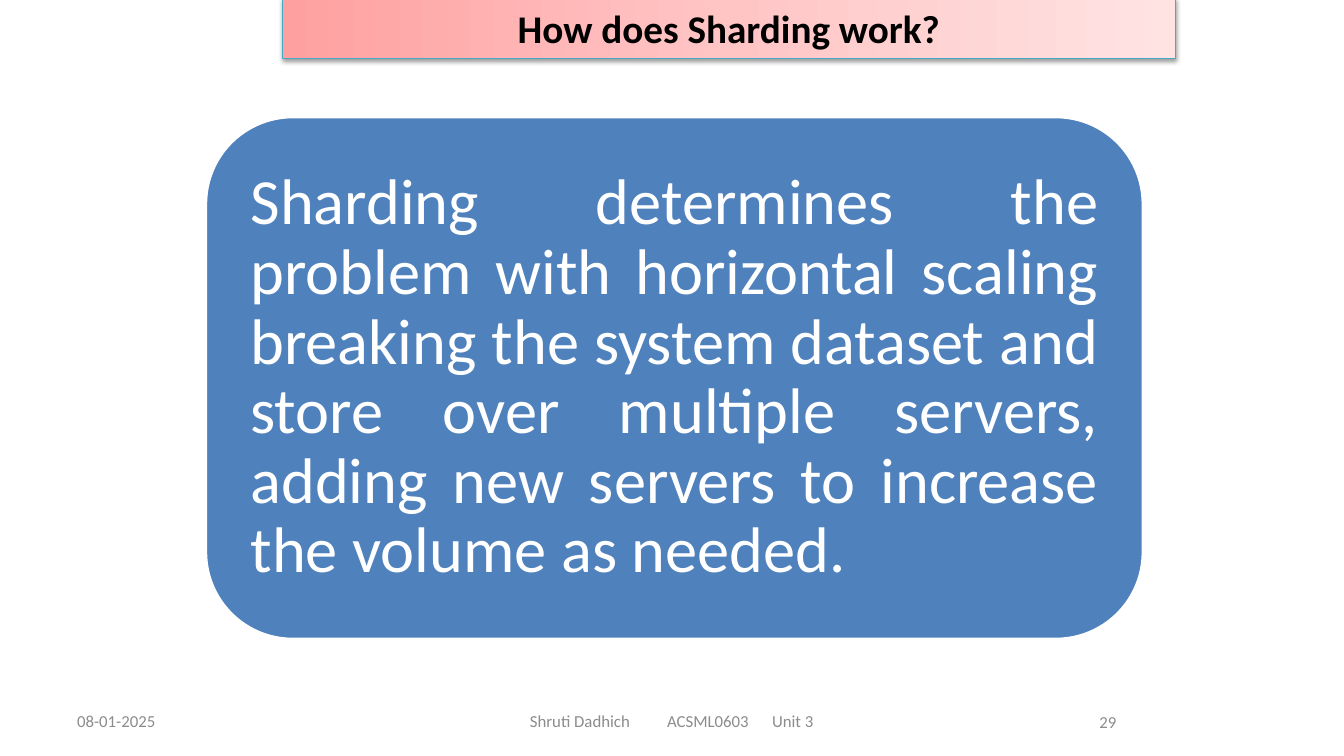
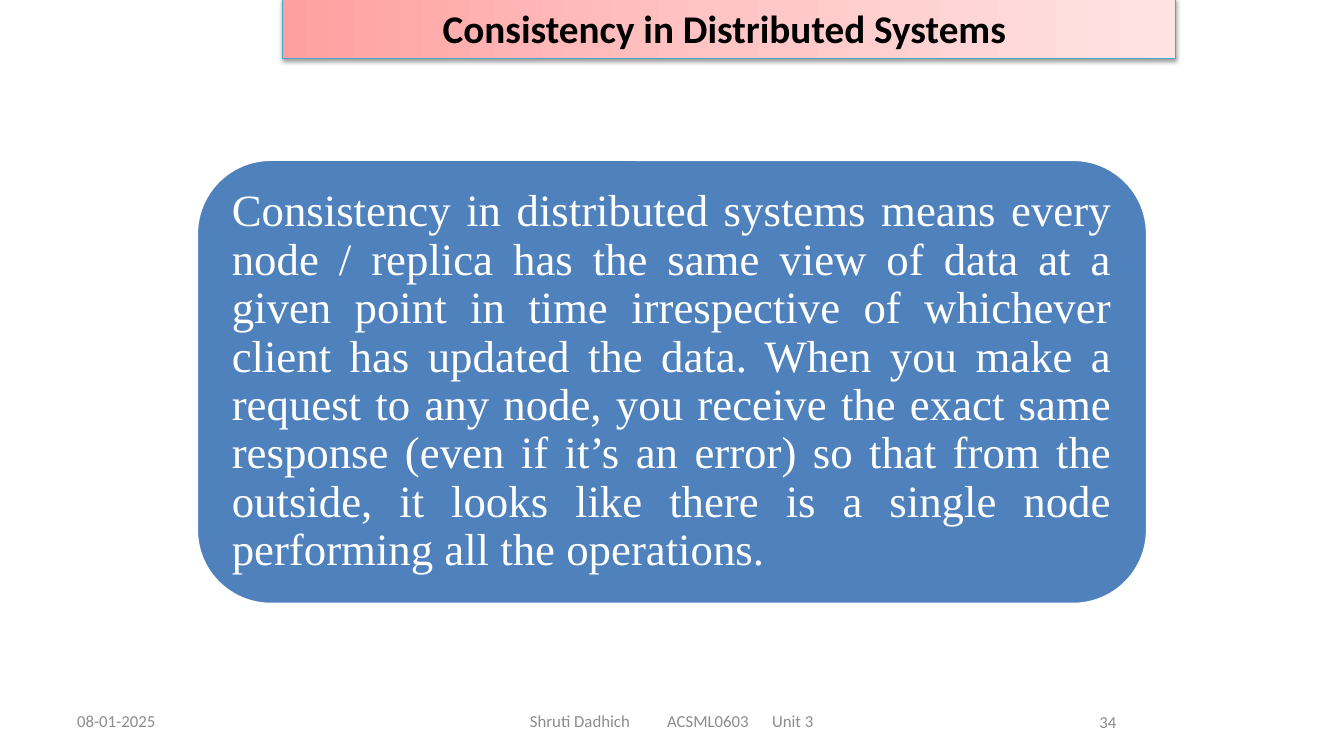
"""Build two slides on sharding and consistency, each with one text panel."""
from pptx import Presentation
from pptx.dml.color import RGBColor
from pptx.enum.shapes import MSO_SHAPE
from pptx.enum.text import MSO_ANCHOR, MSO_AUTO_SIZE, PP_ALIGN
from pptx.oxml import parse_xml
from pptx.oxml.ns import nsdecls
from pptx.util import Pt

COLORS = {
    "band_start": "FFA0A0",
    "band_middle": "FFC5C5",
    "band_end": "FFE3E3",
    "band_line": "46AAC5",
    "title": "000000",
    "footer": "8C8C8C",
    "panel": "4F81BD",
    "white": "FFFFFF",
}
TITLE_FORMAT = {"name": "Calibri", "size": Pt(28), "bold": True}
FOOTER_FORMAT = {"name": "Calibri", "size": Pt(12)}
FOOTER_TABS = [98, 173]
GRADIENT_STOPS = [(0, "band_start"), (50, "band_middle"), (100, "band_end")]
SLIDES = [
    {
        "title": "How does Sharding work?",
        "number": "29",
        "panel": (147, 83.5, 669.5, 373),
        "font": "Calibri",
        "size": 46,
        "text": "Sharding determines the problem with horizontal scaling breaking "
                "the system dataset and store over multiple servers, adding new "
                "servers to increase the volume as needed.",
    },
    {
        "title": "Consistency in Distributed Systems ",
        "number": "34",
        "panel": (140.5, 114, 679, 317.5),
        "font": "Times New Roman",
        "size": 32,
        "text": "Consistency in distributed systems means every node / replica has "
                "the same view of data at a given point in time irrespective of "
                "whichever client has updated the data. When you make a request to "
                "any node, you receive the exact same response (even if it’s an "
                "error) so that from the outside, it looks like there is a single "
                "node performing all the operations.",
    },
]


def write_text(shape, text, alignment, color, font_format):
    """Write one formatted paragraph, centred vertically, and return it."""
    frame = shape.text_frame
    frame.word_wrap = True
    frame.auto_size = MSO_AUTO_SIZE.NONE
    frame.vertical_anchor = MSO_ANCHOR.MIDDLE
    paragraph = frame.paragraphs[0]
    paragraph.alignment = alignment
    run = paragraph.add_run()
    run.text = text
    for attribute, value in font_format.items():
        setattr(run.font, attribute, value)
    run.font.color.rgb = RGBColor.from_string(COLORS[color])
    return paragraph


def style_band(shape):
    """Give the title its gradient, outline and soft shadow."""
    stops = "".join(
        f'<a:gs pos="{position * 1000}"><a:srgbClr val="{COLORS[color]}"/></a:gs>'
        for position, color in GRADIENT_STOPS
    )
    properties = shape._element.spPr
    properties.append(parse_xml(
        f'<a:gradFill {nsdecls("a")} rotWithShape="1"><a:gsLst>{stops}</a:gsLst>'
        '<a:lin ang="0" scaled="0"/></a:gradFill>'
    ))
    shape.line.color.rgb = RGBColor.from_string(COLORS["band_line"])
    shape.line.width = Pt(0.75)
    properties.append(parse_xml(
        f'<a:effectLst {nsdecls("a")}><a:outerShdw blurRad="{Pt(3.1)}" '
        f'dist="{Pt(1.6)}" dir="5400000" rotWithShape="0">'
        '<a:srgbClr val="000000"><a:alpha val="38000"/></a:srgbClr>'
        '</a:outerShdw></a:effectLst>'
    ))


presentation = Presentation()
presentation.slide_width, presentation.slide_height = Pt(960), Pt(540)
title_only = presentation.slide_layouts[5]

for content in SLIDES:
    slide = presentation.slides.add_slide(title_only)

    title = slide.shapes.title
    title.left, title.top, title.width, title.height = Pt(201.5), Pt(-1.5), Pt(638), Pt(43)
    style_band(title)
    write_text(title, content["title"], PP_ALIGN.CENTER, "title", TITLE_FORMAT)

    footers = [
        ("08-01-2025", 48, 500.5, 224, 7.2, PP_ALIGN.LEFT),
        ("Shruti Dadhich\tACSML0603\tUnit 3", 328.5, 500.5, 304, 50, PP_ALIGN.LEFT),
        (content["number"], 636.5, 501, 168, 7.2, PP_ALIGN.RIGHT),
    ]
    for text, left, top, width, margin, alignment in footers:
        footer = slide.shapes.add_textbox(Pt(left), Pt(top), Pt(width), Pt(29))
        footer.text_frame.margin_left = Pt(margin)
        paragraph = write_text(footer, text, alignment, "footer", FOOTER_FORMAT)
        if "\t" in text:
            tabs = "".join(f'<a:tab pos="{Pt(tab)}" algn="l"/>' for tab in FOOTER_TABS)
            paragraph._p.get_or_add_pPr().append(
                parse_xml(f'<a:tabLst {nsdecls("a")}>{tabs}</a:tabLst>')
            )

    panel = slide.shapes.add_shape(
        MSO_SHAPE.ROUNDED_RECTANGLE, *[Pt(length) for length in content["panel"]]
    )
    panel.shadow.inherit = False
    panel.fill.solid()
    panel.fill.fore_color.rgb = RGBColor.from_string(COLORS["panel"])
    panel.line.color.rgb = RGBColor.from_string(COLORS["white"])
    panel.line.width = Pt(2)
    for side in ("left", "top", "right", "bottom"):
        setattr(panel.text_frame, f"margin_{side}", Pt(content["size"] * 0.3))
    panel_format = {"name": content["font"], "size": Pt(content["size"])}
    paragraph = write_text(panel, content["text"], PP_ALIGN.JUSTIFY, "white", panel_format)
    paragraph.line_spacing = 0.9

presentation.save("out.pptx")
